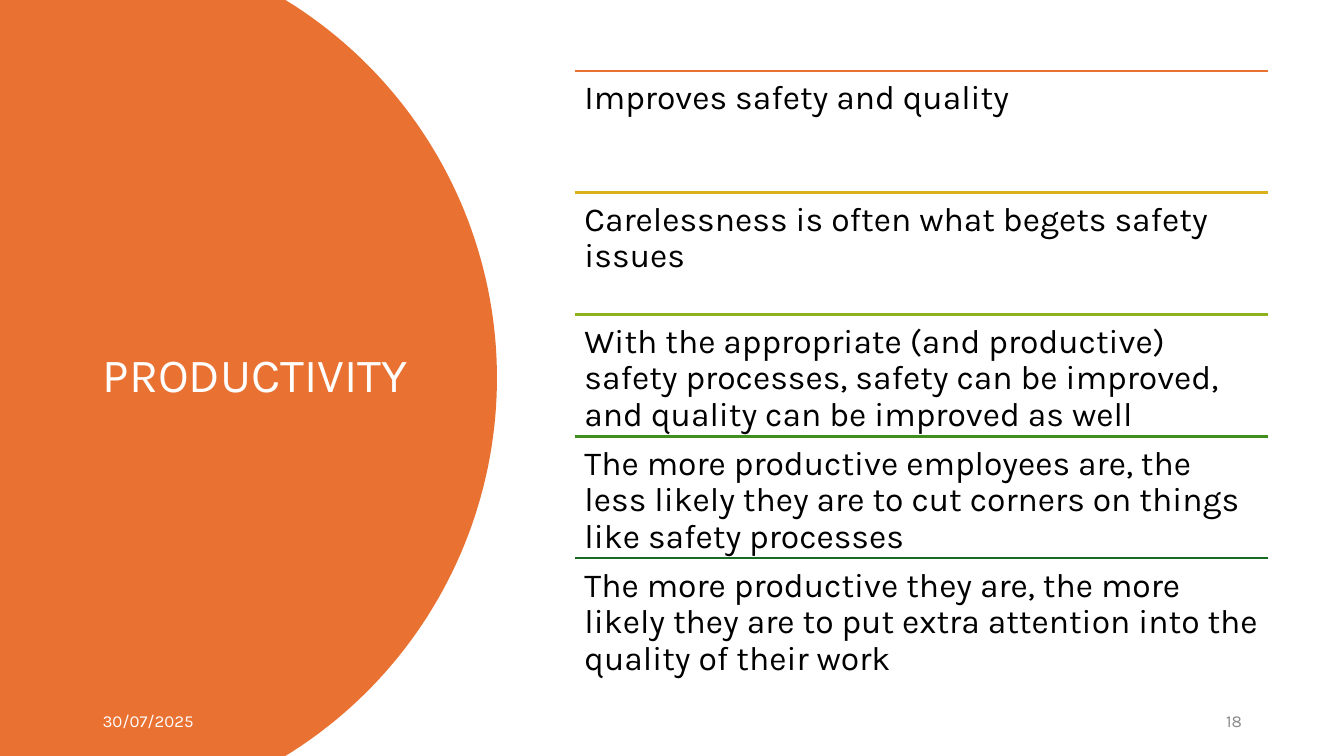
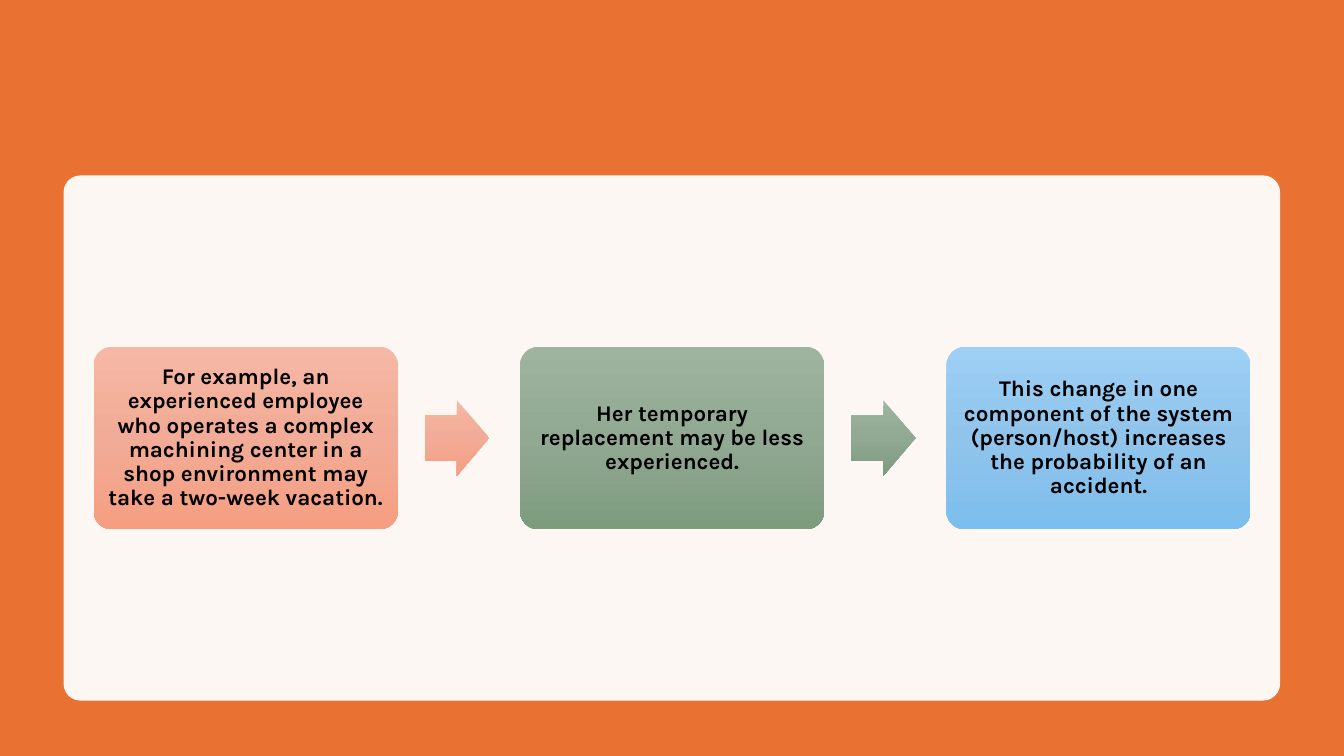
import math
from copy import deepcopy

from lxml import etree
from pptx import Presentation
from pptx.dml.color import RGBColor
from pptx.enum import shapes, text
from pptx.oxml.ns import qn
from pptx.util import Pt

FONT = "Karla"
ORANGE, WHITE, BLACK, GREY = "E97132", "FFFFFF", "000000", "898989"
WIDTH, HEIGHT = 960, 540
LEFT, CENTER, RIGHT = text.PP_ALIGN.LEFT, text.PP_ALIGN.CENTER, text.PP_ALIGN.RIGHT
TOP, MIDDLE = text.MSO_ANCHOR.TOP, text.MSO_ANCHOR.MIDDLE

TITLE = "PRODUCTIVITY"
FOOTERS = [
    ("30/07/2025", 66.2, WHITE, LEFT),
    ("18", 678.2, GREY, RIGHT),
]
POINTS = [
    ("Improves safety and quality", "E97132"),
    ("Carelessness is often what begets safety issues", "D8B11D"),
    ("With the appropriate (and productive) safety processes, safety can be "
     "improved, and quality can be improved as well", "8EB21E"),
    ("The more productive employees are, the less likely they are to cut "
     "corners on things like safety processes", "408E1C"),
    ("The more productive they are, the more likely they are to put extra "
     "attention into the quality of their work", "196B24"),
]
STEPS = [
    ("For example, an experienced employee who operates a complex machining "
     "center in a shop environment may take a two-week vacation.",
     ("F5B8A5", "F2AB96", "F59E82")),
    ("Her temporary replacement may be less experienced.",
     ("9EB49F", "91A892", "7D9C7E")),
    ("This change in one component of the system (person/host) increases the "
     "probability of an accident.",
     ("9ECFF5", "90C4EB", "7CBEED")),
]


def color(value):
    return RGBColor.from_string(value)


def place(left, top, width, height):
    return Pt(left), Pt(top), Pt(width), Pt(height)


def paint(shape, value):
    shape.shadow.inherit = False
    shape.fill.solid()
    shape.fill.fore_color.rgb = color(value)
    shape.line.fill.background()


def shade(shape, values):
    shape.shadow.inherit = False
    shape.line.fill.background()
    shape.fill.gradient()
    shape.fill.gradient_angle = 270
    first = shape.element.spPr.find(".//" + qn("a:gs"))
    middle = deepcopy(first)
    middle.set("pos", "50000")
    first.addnext(middle)
    for stop, value in zip(shape.fill.gradient_stops, values):
        stop.color.rgb = color(value)


def write(shape, words, size, value, align=LEFT, anchor=MIDDLE, inset=None,
          bold=False, spacing=0.9):
    frame = shape.text_frame
    frame.word_wrap = True
    frame.auto_size = text.MSO_AUTO_SIZE.NONE
    frame.vertical_anchor = anchor
    if inset is not None:
        frame.margin_left = frame.margin_right = Pt(inset)
        frame.margin_top = frame.margin_bottom = Pt(inset)
    para = frame.paragraphs[0]
    para.text = words
    para.alignment = align
    para.line_spacing = spacing
    para.font.name = FONT
    para.font.size = Pt(size)
    para.font.bold = bold
    para.font.color.rgb = color(value)


def add_rule(page, left, right, y, value):
    rule = page.shapes.add_connector(
        shapes.MSO_CONNECTOR.STRAIGHT, Pt(left), Pt(y), Pt(right), Pt(y))
    rule.line.color.rgb = color(value)
    rule.line.width = Pt(1.5)
    etree.SubElement(rule.element.spPr, qn("a:effectLst"))


def add_disc(page):
    radius, center_x, center_y = 316.8, 38.2, HEIGHT / 2
    sweep, parts = math.asin(center_y / radius), 90
    angles = [sweep * (2 * i / parts - 1) for i in range(parts + 1)]
    arc = [(Pt(center_x + radius * math.cos(angle)),
            Pt(center_y + radius * math.sin(angle))) for angle in angles]
    outline = page.shapes.build_freeform(0, 0)
    outline.add_line_segments(arc + [(0, Pt(HEIGHT))], close=True)
    paint(outline.convert_to_shape(), ORANGE)


def build_productivity(deck):
    page = deck.slides.add_slide(deck.slide_layouts[5])
    add_disc(page)

    title = page.shapes.title
    title.left, title.top, title.width, title.height = place(66.2, 50.4, 232.6, 438.5)
    write(title, TITLE, 34, WHITE)
    page.shapes._spTree.append(title.element)

    for words, left, value, align in FOOTERS:
        footer = page.shapes.add_textbox(*place(left, 500.4, 216, 28.8))
        write(footer, words, 12, value, align, spacing=1.0)

    left, top, width, pitch = 410.4, 50.4, 495.4, 87.12
    for index, (words, value) in enumerate(POINTS):
        y = top + index * pitch
        add_rule(page, left, left + width, y, value)
        box = page.shapes.add_textbox(*place(left, y, width, pitch))
        write(box, words, 24, BLACK, anchor=TOP, inset=7.2)


def build_example(deck):
    page = deck.slides.add_slide(deck.slide_layouts[6])
    page.background.fill.solid()
    page.background.fill.fore_color.rgb = color(ORANGE)

    panel = page.shapes.add_shape(
        shapes.MSO_SHAPE.ROUNDED_RECTANGLE, *place(45.4, 125.3, 869, 375.1))
    panel.adjustments[0] = 0.032
    paint(panel, WHITE)
    tint = panel.element.spPr.find(".//" + qn("a:srgbClr"))
    etree.SubElement(tint, qn("a:alpha")).set("val", "95000")

    left, middle, pitch = 66.8, 312.9, 304.6
    width, height = 217.4, 130.4
    arrow_offset, arrow_width, arrow_height = 236.5, 46.1, 54
    for index, (words, values) in enumerate(STEPS):
        x = left + index * pitch
        card = page.shapes.add_shape(
            shapes.MSO_SHAPE.ROUNDED_RECTANGLE,
            *place(x, middle - height / 2, width, height))
        card.adjustments[0] = 0.1
        shade(card, values)
        write(card, words, 16, BLACK, CENTER, inset=5, bold=True)
        if index < len(STEPS) - 1:
            arrow = page.shapes.add_shape(
                shapes.MSO_SHAPE.RIGHT_ARROW,
                *place(x + arrow_offset, middle - arrow_height / 2,
                       arrow_width, arrow_height))
            arrow.adjustments[0] = 0.6
            arrow.adjustments[1] = 0.5
            shade(arrow, values)


def main():
    deck = Presentation()
    deck.slide_width, deck.slide_height = Pt(WIDTH), Pt(HEIGHT)
    build_productivity(deck)
    build_example(deck)
    deck.save("out.pptx")


if __name__ == "__main__":
    main()
